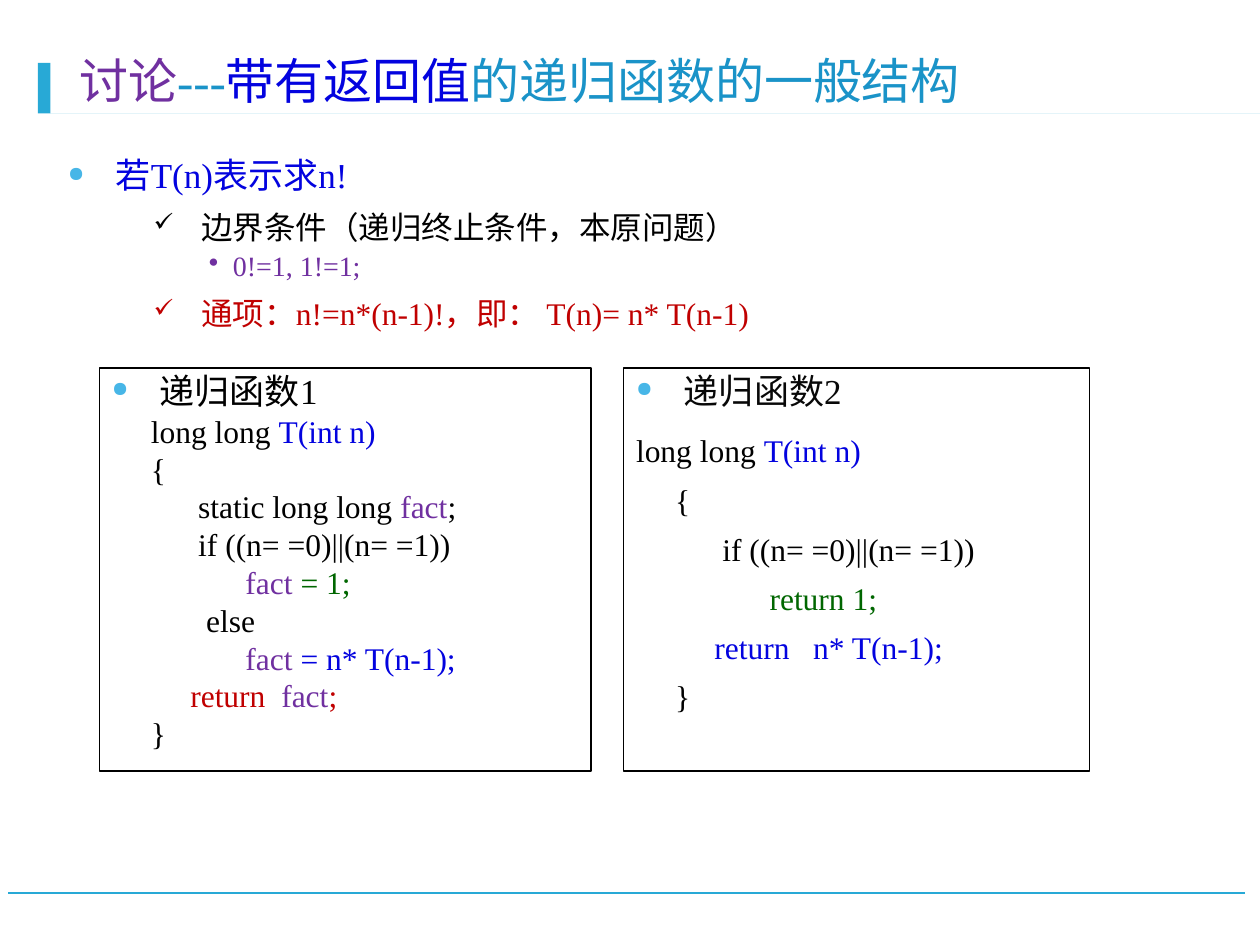
from lxml.etree import SubElement as Sub
from pptx import Presentation
from pptx.dml.color import RGBColor
from pptx.enum.shapes import MSO_CONNECTOR as Link, MSO_SHAPE as Shape
from pptx.enum.text import MSO_ANCHOR as Anchor, PP_ALIGN as Align
from pptx.oxml.ns import qn
from pptx.util import Inches, Pt

CYAN = RGBColor(0x28, 0xA9, 0xD6)
SKY = RGBColor(0x1A, 0x93, 0xC8)
DOT = RGBColor(0x47, 0xB6, 0xE7)
BLUE = RGBColor(0x03, 0x03, 0xDF)
PLUM = RGBColor(0x70, 0x30, 0xA0)
RED = RGBColor(0xC0, 0x00, 0x00)
GREEN = RGBColor(0x00, 0x66, 0x00)
BLACK = RGBColor(0x00, 0x00, 0x00)
COAL = RGBColor(0x08, 0x08, 0x08)

FONT = "Times New Roman"
COLS, ROWS = 100, 75
CELL = Inches(10) // COLS
SPACE = 0.25 * 18 / 72  # width in inches of one blank in 18 pt code
CODE = 0.31             # left edge of code in a box, in inches
DISC = ("●", 60, DOT)

# Each code line: indent in blanks, then (text, colour) runs
CODE_1 = [
    (0, ("long long ", BLACK), ("T(int n)", BLUE)),
    (0, ("{", BLACK)),
    (6, ("static long long ", BLACK), ("fact", PLUM), (";", BLACK)),
    (6, ("if ((n= =0)||(n= =1))", BLACK)),
    (12, ("fact", PLUM), (" = 1;", GREEN)),
    (7, ("else", BLACK)),
    (12, ("fact", PLUM), (" = n* T(n-1);", BLUE)),
    (5, ("return  ", RED), ("fact", PLUM), (";", RED)),
    (0, ("}", BLACK)),
]
CODE_2 = [
    (0, ("{", BLACK)),
    (6, ("if ((n= =0)||(n= =1))", BLACK)),
    (12, ("return 1;", GREEN)),
    (5, ("return   n* T(n-1);", BLUE)),
    (0, ("}", BLACK)),
]


def grid(*cells):
    return [round(n * CELL) for n in cells]


def flat(line):
    """Take the theme shadow off a connector."""
    Sub(line._element.spPr, qn("a:effectLst"))


def add_para(frame, runs, size, left=0, hang=0, lead=0.9, before=0, mark=None):
    """Add a paragraph; mark is (sign, percent, colour or None)."""
    first = frame.paragraphs[0]
    para = frame.add_paragraph() if first.runs else first
    para.alignment = Align.LEFT
    para.line_spacing = lead
    para.space_before = Pt(before)
    for text, hue in runs:
        run = para.add_run()
        run.text = text
        run.font.name = FONT
        run.font.size = Pt(size)
        run.font.color.rgb = hue
    props = para._p.get_or_add_pPr()
    props.set("marL", str(Inches(left)))
    props.set("indent", str(-Inches(hang)))
    if mark:
        sign, share, hue = mark
        if hue is not None:
            Sub(Sub(props, qn("a:buClr")), qn("a:srgbClr"), val=str(hue))
        Sub(props, qn("a:buSzPct"), val=str(share * 1000))
        Sub(props, qn("a:buChar"), char=sign)


def add_head(frame, text, hue):
    add_para(frame, [(text, hue)], 20, 0.38, 0.38, before=13.5, mark=DISC)


def add_code(frame, lines, lead):
    for blanks, *runs in lines:
        add_para(frame, runs, 18, CODE + blanks * SPACE, lead=lead)


def add_text(slide, *cells, anchor=Anchor.TOP):
    frame = slide.shapes.add_textbox(*grid(*cells)).text_frame
    frame.word_wrap = True
    frame.vertical_anchor = anchor
    return frame


def add_box(slide, *cells):
    box = slide.shapes.add_shape(Shape.RECTANGLE, *grid(*cells))
    box.shadow.inherit = False
    box.fill.background()
    box.line.color.rgb = BLACK
    box.line.width = Pt(0.75)
    box.text_frame.word_wrap = True
    box.text_frame.vertical_anchor = Anchor.TOP
    return box.text_frame


def add_trim(slide):
    """Draw the foot rule, and the bars that run into the title rule."""
    foot = slide.shapes.add_connector(Link.STRAIGHT, *grid(98.8, 70.9, 0.6, 70.9))
    foot.line.color.rgb = CYAN
    foot.line.width = Pt(1.25)
    flat(foot)
    pen = slide.shapes.build_freeform(4.1, 4.6, scale=CELL)
    pen.add_line_segments([
        (4.1, 9.2), (14, 9.2), (100.9, 9.4), (3.9, 9.4), (3.9, 4.8),
        (3.6, 4.8), (3.6, 9.4), (2.7, 9.4), (2.7, 4.6), (3, 4.6),
        (3, 9.1), (3.3, 9.1), (3.3, 4.6),
    ], close=True)
    bars = pen.convert_to_shape()
    bars.shadow.inherit = False
    bars.fill.solid()
    bars.fill.fore_color.rgb = CYAN
    bars.line.fill.background()


def add_title(slide):
    frame = add_text(slide, 5.3, 2.8, 88.5, 6.4, anchor=Anchor.BOTTOM)
    add_para(frame, [("讨论", PLUM), ("---", SKY), ("带有返回值", BLUE),
                     ("的递归函数的一般结构", SKY)], 28)


def add_body(slide):
    frame = add_text(slide, 4.4, 12.1, 86.5, 15.2)

    def check(text, hue):
        add_para(frame, [(text, hue)], 18, 1.06, 0.38, 1.3, mark=("✓", 80, None))

    add_head(frame, "若T(n)表示求n!", BLUE)
    check("边界条件（递归终止条件，本原问题）", BLACK)
    add_para(frame, [("0!=1, 1!=1;", PLUM)], 16, 1.31, 0.19,
             before=3.8, mark=("•", 100, None))
    check("通项：n!=n*(n-1)!，即： T(n)= n* T(n-1)", RED)


def main():
    deck = Presentation()
    deck.slide_width, deck.slide_height = grid(COLS, ROWS)
    slide = deck.slides.add_slide(deck.slide_layouts[6])
    add_trim(slide)
    add_title(slide)
    add_body(slide)

    right = add_box(slide, 49.5, 29.2, 37, 32)
    add_head(right, "递归函数2", COAL)
    add_para(right, CODE_1[0][1:], 18, before=13.5)
    add_code(right, CODE_2, 1.3)

    left = add_box(slide, 7.9, 29.2, 39, 32)
    add_head(left, "递归函数1", BLACK)
    add_code(left, CODE_1, 1.0)
    deck.save("out.pptx")


if __name__ == "__main__":
    main()
